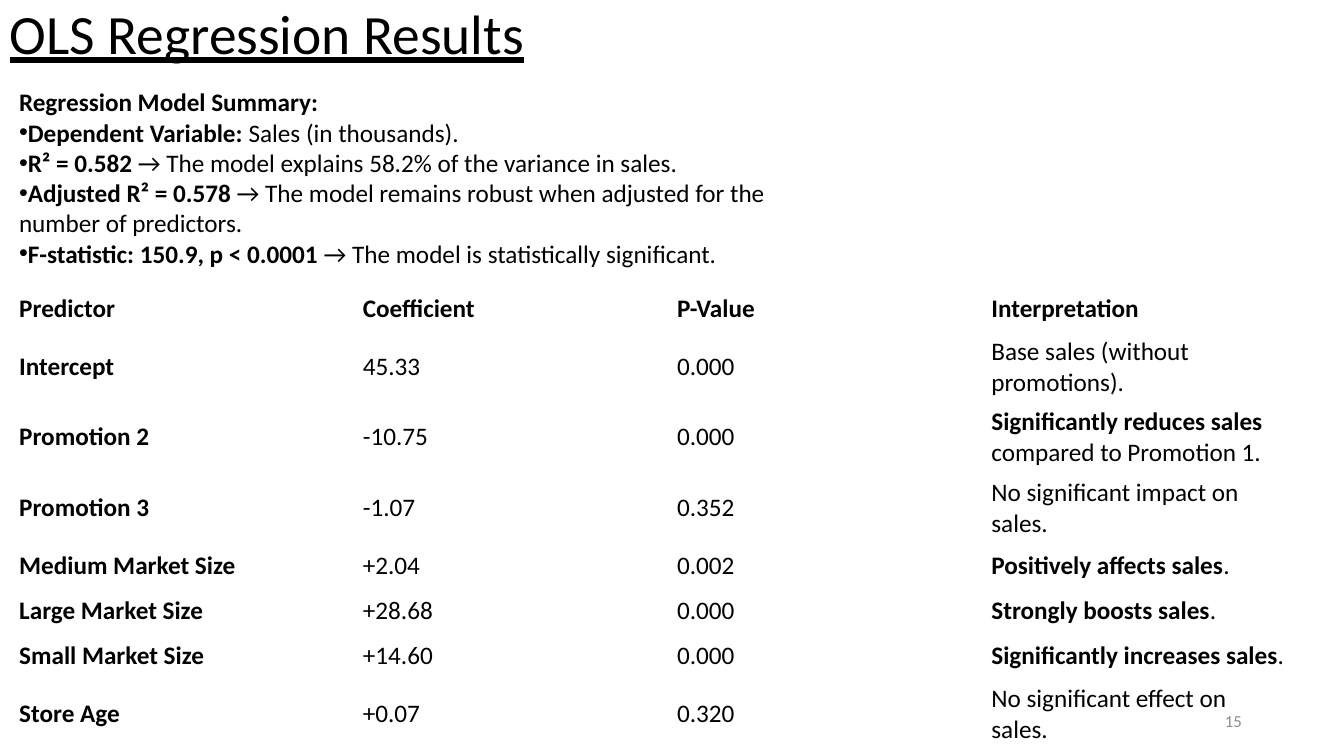
from lxml import etree
from pptx import Presentation
from pptx.dml.color import RGBColor
from pptx.enum.text import MSO_ANCHOR, MSO_AUTO_SIZE, PP_ALIGN
from pptx.oxml.ns import qn
from pptx.util import Cm, Pt

BLACK = RGBColor(0x00, 0x00, 0x00)
GRAY = RGBColor(0x8C, 0x8C, 0x8C)
TOP = MSO_ANCHOR.TOP
MIDDLE = MSO_ANCHOR.MIDDLE
LEFT = PP_ALIGN.LEFT
RIGHT = PP_ALIGN.RIGHT
GROW = MSO_AUTO_SIZE.SHAPE_TO_FIT_TEXT

BODY_FORMAT = {"name": "Calibri", "size": Pt(18)}
TITLE_FORMAT = {"name": "Calibri", "size": Pt(39.6), "underline": True}
NUMBER_FORMAT = {"name": "Calibri", "size": Pt(12)}

SUMMARY_HEADING = "Regression Model Summary:"
SUMMARY_POINTS = [
    ("Dependent Variable:", " Sales (in thousands)."),
    ("R² = 0.582", " → The model explains 58.2% of the variance in sales."),
    ("Adjusted R² = 0.578",
     " → The model remains robust when adjusted for the number of predictors."),
    ("F-statistic: 150.9, p < 0.0001", " → The model is statistically significant."),
]

HEADERS = ["Predictor", "Coefficient", "P-Value", "Interpretation"]
PREDICTORS = [
    ("Intercept", "45.33", "0.000", ("", "Base sales (without promotions).")),
    ("Promotion 2", "-10.75", "0.000",
     ("Significantly reduces sales", " compared to Promotion 1.")),
    ("Promotion 3", "-1.07", "0.352", ("", "No significant impact on sales.")),
    ("Medium Market Size", "+2.04", "0.002", ("Positively affects sales", ".")),
    ("Large Market Size", "+28.68", "0.000", ("Strongly boosts sales", ".")),
    ("Small Market Size", "+14.60", "0.000", ("Significantly increases sales", ".")),
    ("Store Age", "+0.07", "0.320", ("", "No significant effect on sales.")),
]
COLUMN_WIDTHS = [8.66, 7.92, 7.92, 7.92]
ROW_HEIGHTS = [1.14, 1.5, 1.52] + [1.14] * 5


def write_runs(paragraph, bold_text, plain_text, formats=BODY_FORMAT, color=BLACK):
    for text, bold in ((bold_text, True), (plain_text, False)):
        if text:
            run = paragraph.add_run()
            run.text = text
            for name, value in {**formats, "bold": bold}.items():
                setattr(run.font, name, value)
            run.font.color.rgb = color


def add_bullet(paragraph):
    properties = paragraph._p.get_or_add_pPr()
    properties.set("marL", "0")
    properties.set("indent", "0")
    etree.SubElement(properties, qn("a:buFont")).set("typeface", "Arial")
    etree.SubElement(properties, qn("a:buChar")).set("char", "•")


def add_text_frame(slide, box, anchor):
    text_frame = slide.shapes.add_textbox(*map(Cm, box)).text_frame
    text_frame.word_wrap = True
    text_frame.vertical_anchor = anchor
    return text_frame


def add_line(slide, box, text, formats, color, paragraph_formats):
    paragraph = add_text_frame(slide, box, MIDDLE).paragraphs[0]
    for name, value in paragraph_formats.items():
        setattr(paragraph, name, value)
    write_runs(paragraph, "", text, formats, color)


def add_summary(slide, box):
    text_frame = add_text_frame(slide, box, TOP)
    text_frame.auto_size = GROW
    write_runs(text_frame.paragraphs[0], SUMMARY_HEADING, "")
    for bold_text, plain_text in SUMMARY_POINTS:
        paragraph = text_frame.add_paragraph()
        add_bullet(paragraph)
        write_runs(paragraph, bold_text, plain_text)


def add_predictor_table(slide, box):
    rows = [[(header, "") for header in HEADERS]]
    for predictor, coefficient, p_value, interpretation in PREDICTORS:
        rows.append([(predictor, ""), ("", coefficient), ("", p_value), interpretation])
    table = slide.shapes.add_table(len(rows), len(HEADERS), *map(Cm, box)).table
    table.first_row = False
    table.horz_banding = False
    for column, width in zip(table.columns, COLUMN_WIDTHS):
        column.width = Cm(width)
    for row, height, contents in zip(table.rows, ROW_HEIGHTS, rows):
        row.height = Cm(height)
        for cell, texts in zip(row.cells, contents):
            cell.fill.background()
            cell.vertical_anchor = MIDDLE
            write_runs(cell.text_frame.paragraphs[0], *texts)


def build_regression_slide(presentation):
    slide = presentation.slides.add_slide(presentation.slide_layouts[6])
    add_line(slide, (23.93, 17.65, 7.62, 1.02), "15", NUMBER_FORMAT, GRAY,
             {"alignment": RIGHT})
    add_line(slide, (0, 0.08, 20.93, 1.68), "OLS Regression Results", TITLE_FORMAT,
             BLACK, {"alignment": LEFT, "line_spacing": 0.9})
    add_summary(slide, (0.23, 2.06, 20.93, 5.64))
    add_predictor_table(slide, (0.23, 7.21, sum(COLUMN_WIDTHS), sum(ROW_HEIGHTS)))


def main():
    presentation = Presentation()
    presentation.slide_width = Cm(33.87)
    presentation.slide_height = Cm(19.05)
    build_regression_slide(presentation)
    presentation.save("out.pptx")


if __name__ == "__main__":
    main()
